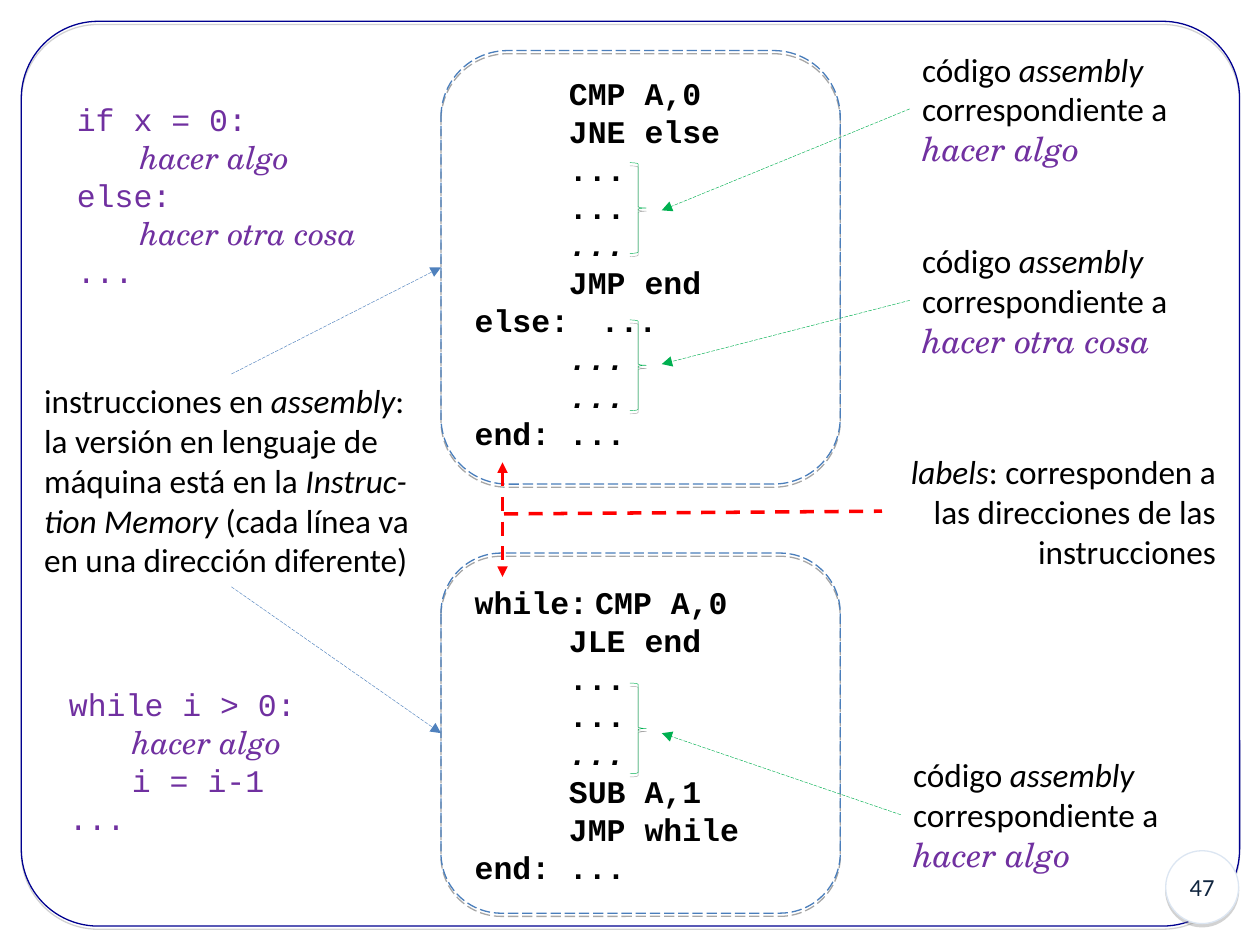
"""Build a slide that pairs if and while statements with their assembly code."""
from lxml import etree
from pptx import Presentation
from pptx.dml.color import RGBColor
from pptx.enum.dml import MSO_LINE
from pptx.enum.shapes import MSO_CONNECTOR, MSO_SHAPE
from pptx.enum.text import MSO_ANCHOR, MSO_AUTO_SIZE, PP_ALIGN
from pptx.oxml import parse_xml
from pptx.oxml.ns import nsdecls, qn
from pptx.util import Cm, Pt

STRAIGHT = MSO_CONNECTOR.STRAIGHT
ROUNDED, OVAL, BRACE = MSO_SHAPE.ROUNDED_RECTANGLE, MSO_SHAPE.OVAL, MSO_SHAPE.RIGHT_BRACE
DASH, LONG_DASH = MSO_LINE.DASH, MSO_LINE.LONG_DASH
LEFT, CENTER, RIGHT = PP_ALIGN.LEFT, PP_ALIGN.CENTER, PP_ALIGN.RIGHT
MIDDLE, GROW = MSO_ANCHOR.MIDDLE, MSO_AUTO_SIZE.SHAPE_TO_FIT_TEXT

BLACK = RGBColor(0x00, 0x00, 0x00)
WHITE = RGBColor(0xFF, 0xFF, 0xFF)
GRAY = RGBColor(0x80, 0x80, 0x80)
NAVY = RGBColor(0x00, 0x00, 0x90)
INK = RGBColor(0x10, 0x25, 0x3F)
PALE_BLUE = RGBColor(0xDC, 0xE6, 0xF2)
PANEL_BLUE = RGBColor(0x4A, 0x7E, 0xBB)
ARROW_BLUE = RGBColor(0x4F, 0x81, 0xBD)
PURPLE = RGBColor(0x70, 0x30, 0xA0)
GREEN = RGBColor(0x00, 0xB0, 0x50)
RED = RGBColor(0xFF, 0x00, 0x00)

# font, size, colour, bold, italic
NUMBER = ("Calibri", 14, INK, False, False)
SOURCE = ("Courier New", 18, PURPLE, False, False)
ACTION = ("TeX Gyre Schola", 18, PURPLE, False, True)
ASSEMBLY = ("Courier New", 18, BLACK, True, False)
SLANTED = ("Courier New", 18, BLACK, True, True)
GAP = ("Calibri", 18, BLACK, True, False)
NOTE = ("Calibri", 19, BLACK, False, False)
TERM = ("Calibri", 19, BLACK, False, True)
NOTE_ACTION = ("TeX Gyre Schola", 19, PURPLE, False, True)

deck = Presentation()
deck.slide_width, deck.slide_height = Cm(25.4), Cm(19.05)
slide = deck.slides.add_slide(deck.slide_layouts[6])
shapes = slide.shapes


def write(box, lines, align=LEFT, tabs=(1.27,)):
    for index, line in enumerate(lines):
        frame = box.text_frame
        para = frame.add_paragraph() if index else frame.paragraphs[0]
        para.alignment = align
        para.line_spacing = Pt(1.2 * line[0][1][1])
        tab_list = etree.SubElement(para._p.get_or_add_pPr(), qn("a:tabLst"))
        for tab in tabs:
            etree.SubElement(tab_list, qn("a:tab"), pos=str(Cm(tab)), algn="l")
        for text, (font, size, color, bold, italic) in line:
            span = para.add_run()
            span.text = text
            span.font.name, span.font.size = font, Pt(size)
            span.font.color.rgb = color
            span.font.bold, span.font.italic = bold, italic


def connect(start, end, color, width, dash, heads=()):
    line = shapes.add_connector(STRAIGHT, *[Cm(value) for value in start + end])
    line.line.color.rgb, line.line.width = color, Pt(width)
    line.line.dash_style = dash
    for head in heads:
        etree.SubElement(line.line._get_or_add_ln(), qn(head), type="triangle")
    etree.SubElement(line._element.spPr, qn("a:effectLst"))
    return line


outlines = [
    (ROUNDED, 0.43, 0.43, 24.56, 18.24, 0.085, NAVY, 0.75, None, GRAY),
    (OVAL, 23.5, 17.15, 1.47, 1.47, None, PALE_BLUE, 0.75, None, GRAY),
    (ROUNDED, 8.89, 1.02, 8.05, 8.74, 0.167, PANEL_BLUE, 0.75, LONG_DASH, BLACK),
    (ROUNDED, 8.89, 11.15, 8.05, 7.26, 0.167, PANEL_BLUE, 0.75, LONG_DASH, BLACK),
]
for top in (3.28, 6.45, 13.77):
    outlines.append((BRACE, 12.7, top, 0.33, 1.83, 0.08, GREEN, 0.25, None, BLACK))

drawn = []
for kind, left, top, width, height, bend, color, weight, dash, shade in outlines:
    shape = shapes.add_shape(kind, Cm(left), Cm(top), Cm(width), Cm(height))
    if bend:
        shape.adjustments[0] = bend
    shape.fill.background()
    shape.line.color.rgb, shape.line.width = color, Pt(weight)
    if dash:
        shape.line.dash_style = dash
    shape._element.spPr.append(parse_xml(
        f'<a:effectLst {nsdecls("a")}><a:outerShdw dist="23000" dir="5400000" rotWithShape="0">'
        f'<a:srgbClr val="{shade}"><a:alpha val="35000"/></a:srgbClr></a:outerShdw></a:effectLst>'))
    drawn.append(shape)

badge, upper_panel, lower_panel = drawn[1:4]
badge.fill.solid()
badge.fill.fore_color.rgb = WHITE
badge.text_frame.vertical_anchor = MIDDLE
write(badge, [[("47", NUMBER)]], CENTER)

if_source = [
    [("if x = 0:", SOURCE)],
    [("\t", SOURCE), ("hacer algo", ACTION)],
    [("else:", SOURCE)],
    [("\t", SOURCE), ("hacer otra cosa", ACTION)],
    [("...", SOURCE)],
]
while_source = [
    [("while i > 0:", SOURCE)],
    [("\t", SOURCE), ("hacer algo", ACTION)],
    [("\ti = i-1", SOURCE)],
    [("...", SOURCE)],
]
dots, slanted_dots = [("\t...", ASSEMBLY)], [("\t...", SLANTED)]
end_label = [("end:\t...", ASSEMBLY)]
if_assembly = [
    [("\tCMP A,0", ASSEMBLY)], [("\tJNE else", ASSEMBLY)],
    dots, dots, slanted_dots,
    [("\tJMP end", ASSEMBLY)], [("else:\t...", ASSEMBLY)],
    slanted_dots, slanted_dots, end_label,
]
while_assembly = [
    [("while:", ASSEMBLY), (" ", GAP), ("CMP A,0", ASSEMBLY)], [("\tJLE end", ASSEMBLY)],
    dots, dots, slanted_dots,
    [("\tSUB A,1", ASSEMBLY)], [("\tJMP while", ASSEMBLY)], end_label,
]
instructions = [[
    ("instrucciones en ", NOTE), ("assembly", TERM),
    (": la versión en lenguaje de máquina está en la ", NOTE), ("Instruc-tion Memory", TERM),
    (" (cada línea va en una dirección diferente)", NOTE),
]]
labels = [[("labels", TERM), (": corresponden a las direcciones de las instrucciones", NOTE)]]
code_note = [[("código ", NOTE), ("assembly", TERM)], [("correspondiente a", NOTE)]]
something = code_note + [[("hacer algo", NOTE_ACTION)]]
something_else = code_note + [[("hacer otra cosa", NOTE_ACTION)]]

plain_tabs, code_tabs = (1.27,), (1.9, 2.54)
texts = [
    (1.3, 1.9, 6.15, 4.06, False, if_source, LEFT, plain_tabs),
    (1.14, 13.69, 5.08, 3.3, False, while_source, LEFT, plain_tabs),
    (9.32, 1.37, 7.42, 7.87, True, if_assembly, LEFT, code_tabs),
    (9.32, 11.63, 7.42, 6.35, True, while_assembly, LEFT, code_tabs),
    (0.64, 7.54, 8.05, 4.29, True, instructions, LEFT, plain_tabs),
    (17.78, 8.97, 6.98, 2.67, True, labels, RIGHT, plain_tabs),
    (18.34, 0.86, 5.46, 2.67, False, something, LEFT, plain_tabs),
    (18.34, 4.72, 5.46, 2.67, False, something_else, LEFT, plain_tabs),
    (18.16, 15.09, 5.46, 2.67, False, something, LEFT, plain_tabs),
]
boxes = []
for left, top, width, height, wrap, lines, align, tabs in texts:
    box = shapes.add_textbox(Cm(left), Cm(top), Cm(width), Cm(height))
    box.text_frame.word_wrap = wrap
    box.text_frame.auto_size = GROW
    write(box, lines, align, tabs)
    boxes.append(box)
instructions_box, labels_box = boxes[4:6]

for box, target in zip(boxes[6:], (4.24, 7.34, 14.78)):
    arrow = connect((18.31, target), (13.34, target), GREEN, 0.25, LONG_DASH, ["a:tailEnd"])
    arrow.begin_connect(box, 1)

for side, panel in ((0, upper_panel), (2, lower_panel)):
    arrow = connect((4.66, 7.54), (8.89, 5.39), ARROW_BLUE, 0.25, LONG_DASH, ["a:tailEnd"])
    arrow.begin_connect(instructions_box, side)
    arrow.end_connect(panel, 1)

connect((10.13, 9.32), (10.13, 11.63), RED, 2, DASH, ["a:headEnd", "a:tailEnd"])
label_line = connect((10.16, 10.36), (17.78, 10.31), RED, 2, DASH)
label_line.end_connect(labels_box, 1)

deck.save("out.pptx")
